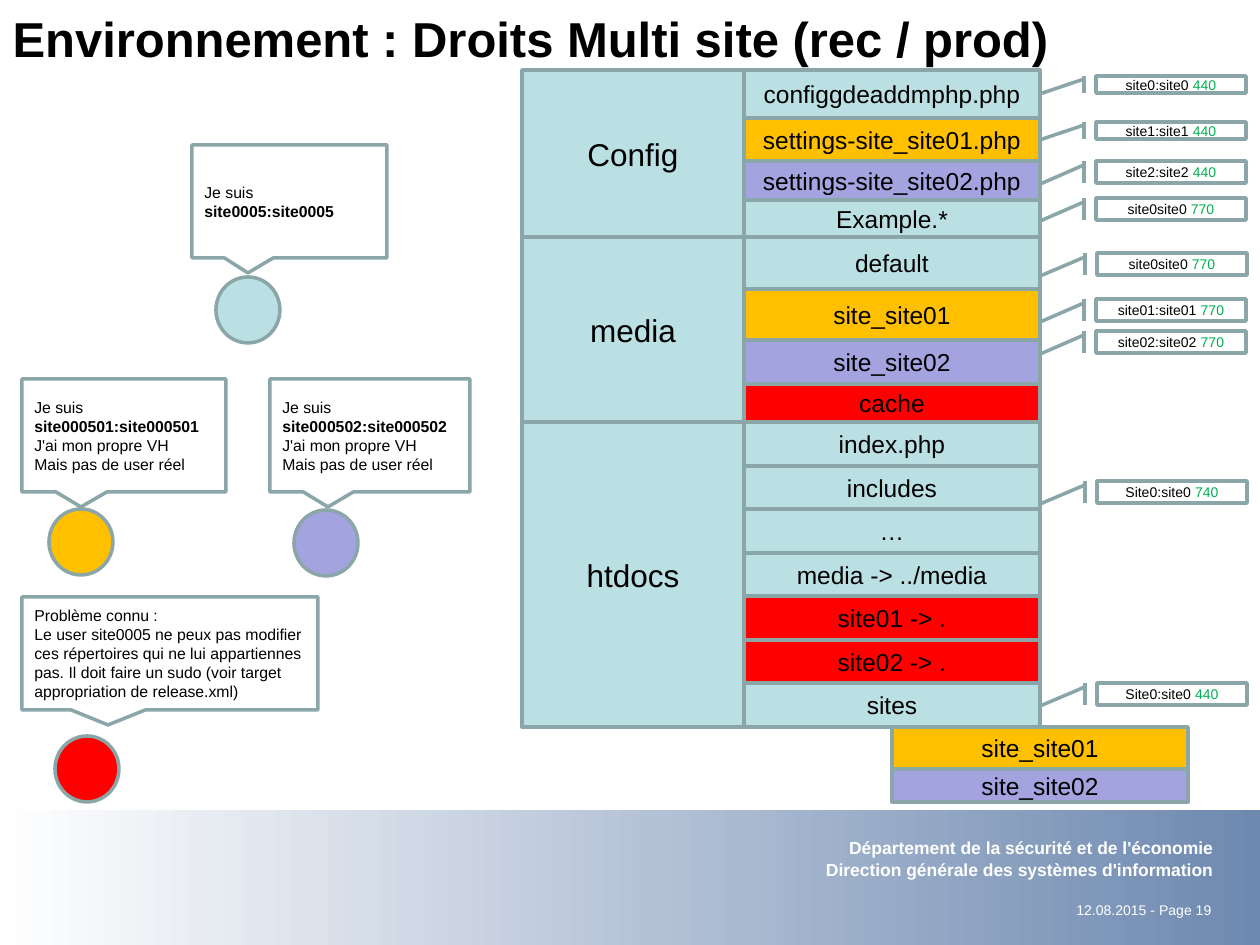
from pptx import Presentation
from pptx.dml.color import RGBColor
from pptx.enum.shapes import MSO_SHAPE
from pptx.enum.text import MSO_ANCHOR, MSO_AUTO_SIZE, PP_ALIGN
from pptx.util import Emu, Pt

RECTANGLE, OVAL = MSO_SHAPE.RECTANGLE, MSO_SHAPE.OVAL
BUBBLE = MSO_SHAPE.RECTANGULAR_CALLOUT
NOTE = MSO_SHAPE.LINE_CALLOUT_1_BORDER_AND_ACCENT_BAR
LEFT, CENTER, RIGHT = PP_ALIGN.LEFT, PP_ALIGN.CENTER, PP_ALIGN.RIGHT
MIDDLE = MSO_ANCHOR.MIDDLE

FONT = "Arial"
BLACK, WHITE, GREEN, BORDER = "000000", "FFFFFF", "00B050", "8AA6A8"
BLUE, ORANGE, PURPLE, RED = "BBE0E3", "FFC000", "A3A3E0", "FF0000"

TITLE = "Environnement : Droits Multi site (rec / prod)"

# Directory, then its entries: name, colour, height
DIRECTORIES = [
    ("Config", [
        ("configgdeaddmphp.php", BLUE, 48),
        ("settings-site_site01.php", ORANGE, 43),
        ("settings-site_site02.php", PURPLE, 39),
        ("Example.*", BLUE, 37),
    ]),
    ("media", [
        ("default", BLUE, 52),
        ("site_site01", ORANGE, 51),
        ("site_site02", PURPLE, 44),
        ("cache", RED, 38),
    ]),
    ("htdocs", [
        ("index.php", BLUE, 44),
        ("includes", BLUE, 43),
        ("…", BLUE, 44),
        ("media -> ../media", BLUE, 43),
        ("site01 -> .", RED, 44),
        ("site02 -> .", RED, 43),
        ("sites", BLUE, 44),
    ]),
]
SITES_ENTRIES = [("site_site01", ORANGE, 42), ("site_site02", PURPLE, 33)]

# Owner, mode, left, top, height
RIGHTS = [
    ("site0:site0 ", "440", 1096, 76, 17),
    ("site1:site1 ", "440", 1096, 122, 17),
    ("site2:site2 ", "440", 1096, 161, 22),
    ("site0site0 ", "770", 1096, 198, 22),
    ("site0site0 ", "770", 1097, 253, 22),
    ("site01:site01 ", "770", 1096, 299, 22),
    ("site02:site02 ", "770", 1096, 331, 22),
    ("Site0:site0 ", "740", 1097, 481, 22),
    ("Site0:site0 ", "440", 1097, 683, 22),
]

VIRTUAL_USER = ["J'ai mon propre VH", "Mais pas de user réel"]
PROBLEM = ("Le user site0005 ne peux pas modifier ces répertoires qui ne lui "
           "appartiennes pas. Il doit faire un sudo (voir target "
           "appropriation de release.xml)")

# Opening words, user in bold, further paragraphs, bubble (left, top, width),
# bubble tip (x, y), circle (left, top), circle colour
USERS = [
    ("Je suis ", "site0005:site0005", [],
     (192, 145, 195), (248, 273), (216, 277), BLUE),
    ("Je suis ", "site000501:site000501", VIRTUAL_USER,
     (22, 379, 204), (81, 507), (49, 509), ORANGE),
    ("Je suis ", "site000502:site000502", VIRTUAL_USER,
     (270, 379, 200), (328, 507), (294, 510), PURPLE),
    ("Problème connu :", "", [PROBLEM],
     (22, 597, 296), (108, 725), (55, 736), RED),
]

# Text, size, bold, left, top, width, height
FOOTER = [
    ("Département de la sécurité et de l'économie", 10, True, 621, 830, 604, 34),
    ("Direction générale des systèmes d'information", 10, True, 793, 853, 432, 34),
    ("12.08.2015 - Page 19", 8, False, 1051, 895, 173, 29),
]

TREE_LEFT, TREE_TOP, NAME_WIDTH, ENTRY_WIDTH = 522, 70, 222, 296
ENTRY_LEFT = TREE_LEFT + NAME_WIDTH
TREE_RIGHT = ENTRY_LEFT + ENTRY_WIDTH
BUBBLE_HEIGHT, RIGHTS_WIDTH = 113, 150


def px(length):
    return Emu(round(length * 914400 / 126))


def rgb(value):
    return RGBColor.from_string(value)


def write(shape, paragraphs, size, align):
    """Each paragraph is a list of runs: (text, colour, bold)."""
    frame = shape.text_frame
    frame.word_wrap = True
    frame.vertical_anchor = MIDDLE
    for index, runs in enumerate(paragraphs):
        paragraph = frame.add_paragraph() if index else frame.paragraphs[0]
        paragraph.alignment = align
        for text, color, bold in runs:
            run = paragraph.add_run()
            run.text = text
            run.font.name = FONT
            run.font.size = Pt(size)
            run.font.bold = bold
            run.font.color.rgb = rgb(color)


def add_shape(slide, kind, left, top, width, height, fill):
    shape = slide.shapes.add_shape(kind, px(left), px(top), px(width), px(height))
    shape.shadow.inherit = False
    shape.fill.solid()
    shape.fill.fore_color.rgb = rgb(fill)
    shape.line.color.rgb = rgb(BORDER)
    shape.line.width = Pt(2)
    return shape


def add_cell(slide, text, left, top, width, height, fill, size):
    cell = add_shape(slide, RECTANGLE, left, top, width, height, fill)
    write(cell, [[(text, BLACK, False)]], size, CENTER)


def add_entries(slide, entries, left, top):
    """Stack the entries and return the bottom of the last one."""
    for text, fill, height in entries:
        add_cell(slide, text, left, top, ENTRY_WIDTH, height, fill, 14)
        top += height
    return top


def add_footer(slide):
    band = slide.shapes.add_shape(RECTANGLE, 0, px(810), px(1260), px(135))
    band.shadow.inherit = False
    band.line.fill.background()
    band.fill.gradient()
    band.fill.gradient_angle = 0
    for stop, color in zip(band.fill.gradient_stops, (WHITE, "6E89B0")):
        stop.color.rgb = rgb(color)
    for text, size, bold, *place in FOOTER:
        box = slide.shapes.add_textbox(*map(px, place))
        write(box, [[(text, WHITE, bold)]], size, RIGHT)


def add_tree(slide):
    top = TREE_TOP
    for name, entries in DIRECTORIES:
        height = sum(entry[2] for entry in entries)
        add_cell(slide, name, TREE_LEFT, top, NAME_WIDTH, height, BLUE, 18)
        top = add_entries(slide, entries, ENTRY_LEFT, top)
    add_entries(slide, SITES_ENTRIES, ENTRY_LEFT + ENTRY_WIDTH // 2, top)


def add_rights(slide):
    for owner, mode, left, top, height in RIGHTS:
        note = add_shape(slide, NOTE, left, top, RIGHTS_WIDTH, height, WHITE)
        # Leader: start y, start x, end y, end x, as shares of the box
        leader = (0.18, -0.08, 1.05, (TREE_RIGHT - left) / RIGHTS_WIDTH)
        for index, value in enumerate(leader):
            note.adjustments[index] = value
        write(note, [[(owner, BLACK, False), (mode, GREEN, False)]], 8, CENTER)


def add_users(slide):
    for opening, user, lines, (left, top, width), tip, circle, color in USERS:
        add_shape(slide, OVAL, *circle, 64, 66, color)
        bubble = add_shape(slide, BUBBLE, left, top, width, BUBBLE_HEIGHT, WHITE)
        bubble.adjustments[0] = (tip[0] - left) / width - 0.5
        bubble.adjustments[1] = (tip[1] - top) / BUBBLE_HEIGHT - 0.5
        first = [(opening, BLACK, False)]
        if user:
            first.append((user, BLACK, True))
        write(bubble, [first] + [[(line, BLACK, False)] for line in lines], 9, LEFT)


def main():
    presentation = Presentation()
    presentation.slide_width, presentation.slide_height = px(1260), px(945)
    slide = presentation.slides.add_slide(presentation.slide_layouts[5])

    title = slide.shapes.title
    title.left, title.top, title.width, title.height = map(px, (0, 0, 1134, 76))
    title.text_frame.auto_size = MSO_AUTO_SIZE.NONE
    write(title, [[(TITLE, BLACK, True)]], 28, LEFT)

    add_footer(slide)
    add_tree(slide)
    add_users(slide)
    add_rights(slide)
    presentation.save("out.pptx")


if __name__ == "__main__":
    main()
